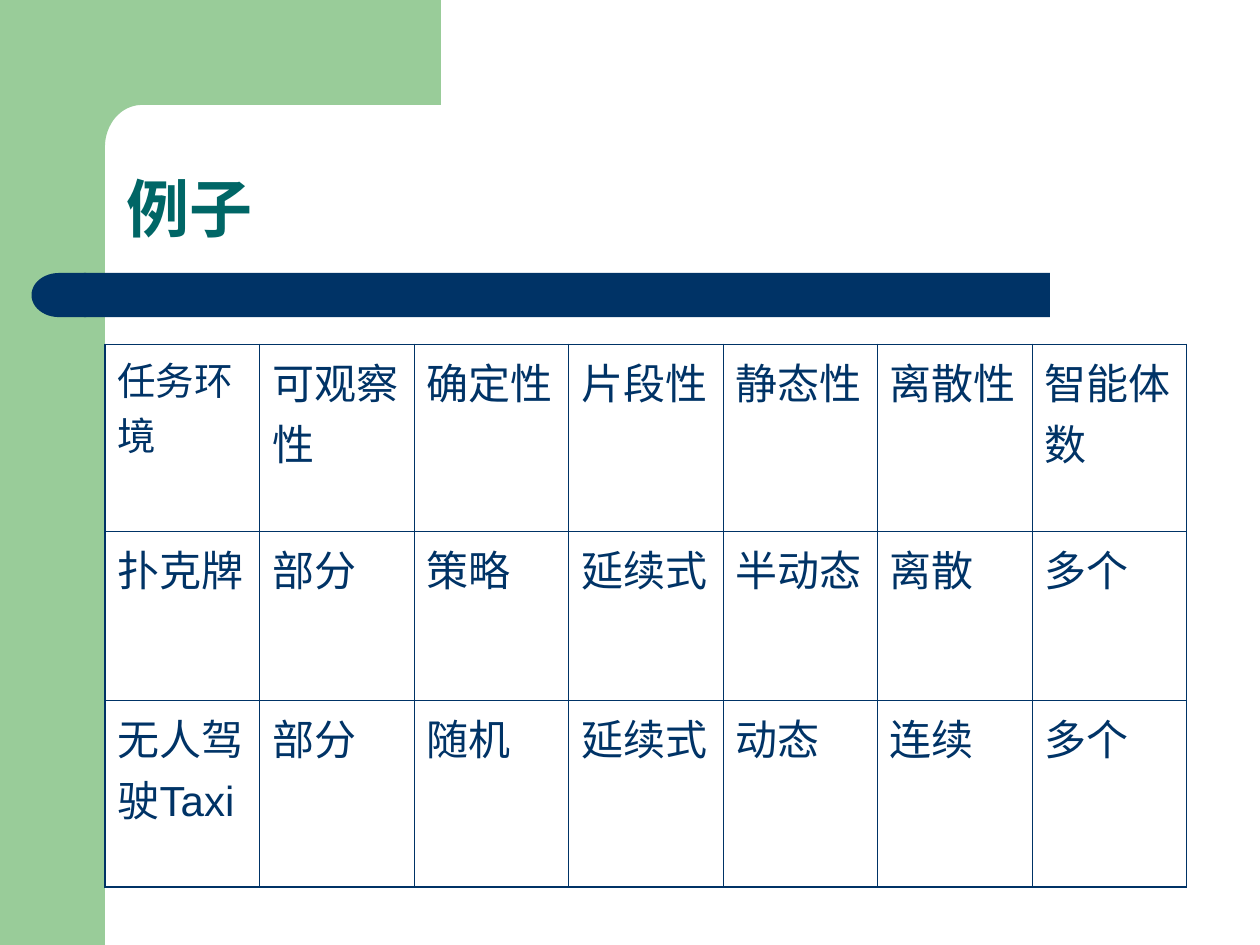
from dataclasses import dataclass
from math import cos, pi, sin

from lxml.etree import SubElement
from pptx import Presentation
from pptx.dml.color import RGBColor
from pptx.enum.shapes import MSO_SHAPE
from pptx.enum.text import MSO_ANCHOR
from pptx.oxml.ns import qn
from pptx.util import Inches, Pt


@dataclass(frozen=True)
class Theme:
    font: str = "Arial"
    green: str = "99CC99"
    navy: str = "003366"
    teal: str = "006666"
    title_size: int = 36
    cell_size: int = 24
    corner_size: int = 22
    outer_line: float = 1.08
    inner_line: float = 0.45


theme = Theme()
prs = Presentation()
prs.slide_width, prs.slide_height = Inches(10), Inches(7.5)
slide = prs.slides.add_slide(prs.slide_layouts[6])

# The slide is a grid of 12 columns by 9 rows of square units.
COLUMNS, ROWS = 12, 9
unit = prs.slide_width / COLUMNS


def grid(*units):
    """Turn grid units into lengths."""
    return [round(n * unit) for n in units]


def paint(shape, color):
    shape.shadow.inherit = False
    shape.fill.solid()
    shape.fill.fore_color.rgb = RGBColor.from_string(color)
    shape.line.fill.background()


# Green frame: a side band and a top arm with a rounded inner corner
side_band = slide.shapes.add_shape(MSO_SHAPE.RECTANGLE, *grid(0, 0, 1, ROWS))
paint(side_band, theme.green)

STEPS = 16
corner = [
    (1.35 - 0.35 * sin(pi / 2 * i / STEPS), 1.4 - 0.4 * cos(pi / 2 * i / STEPS))
    for i in range(STEPS + 1)
]
outline = [(4.2, 1), *corner, (1, 1.54), (0.6, 1.54), (0.6, 0)]
builder = slide.shapes.build_freeform(*grid(4.2, 0))
builder.add_line_segments([grid(*point) for point in outline], close=True)
paint(builder.convert_to_shape(), theme.green)

# Navy bar with a round left end
bar = slide.shapes.add_shape(MSO_SHAPE.ROUNDED_RECTANGLE, *grid(0.8, 2.6, 9.2, 0.42))
bar.adjustments[0] = 0
paint(bar, theme.navy)
bar_end = slide.shapes.add_shape(MSO_SHAPE.FLOWCHART_DELAY, *grid(0.3, 2.6, 0.52, 0.42))
bar_end._element.spPr.xfrm.set("flipH", "1")
paint(bar_end, theme.navy)

# Task environments and their properties
environments = [
    ["任务环境", "可观察性", "确定性", "片段性", "静态性", "离散性", "智能体数"],
    ["扑克牌", "部分", "策略", "延续式", "半动态", "离散", "多个"],
    ["无人驾驶Taxi", "部分", "随机", "延续式", "动态", "连续", "多个"],
]
row_heights = [1.78, 1.61, 1.78]
last_row, last_col = len(environments) - 1, len(environments[0]) - 1
table = slide.shapes.add_table(
    last_row + 1, last_col + 1, *grid(1, 3.28, 10.3, sum(row_heights))
).table
table.first_row = table.horz_banding = False
for column in table.columns:
    column.width = grid(10.3 / (last_col + 1))[0]

for r, (values, height) in enumerate(zip(environments, row_heights)):
    table.rows[r].height = grid(height)[0]
    for c, value in enumerate(values):
        cell = table.cell(r, c)
        is_corner = r == c == 0
        size = theme.corner_size if is_corner else theme.cell_size
        cell.text = value
        paragraph = cell.text_frame.paragraphs[0]
        paragraph.space_before = Pt(size / 4)
        paragraph.font.name = theme.font
        paragraph.font.size = Pt(size)
        paragraph.font.color.rgb = RGBColor.from_string(theme.navy)

        outer_sides = {"L": c == 0, "R": c == last_col, "T": r == 0, "B": r == last_row}
        for side, is_outer in outer_sides.items():
            width = Pt(theme.outer_line if is_outer else theme.inner_line)
            border = SubElement(
                cell._tc.get_or_add_tcPr(), qn(f"a:ln{side}"), w=str(int(width))
            )
            border_fill = SubElement(border, qn("a:solidFill"))
            SubElement(border_fill, qn("a:srgbClr"), val=theme.navy)
        cell.fill.background()

# Title, resting just above the bar
title = slide.shapes.add_textbox(*grid(1.09, 1.09, 10.21, 1.31)).text_frame
title.word_wrap = True
title.vertical_anchor = MSO_ANCHOR.BOTTOM
heading = title.paragraphs[0]
heading.text = "例子"
heading.line_spacing = 0.9
heading.font.name = theme.font
heading.font.size = Pt(theme.title_size)
heading.font.bold = True
heading.font.color.rgb = RGBColor.from_string(theme.teal)

prs.save("out.pptx")
